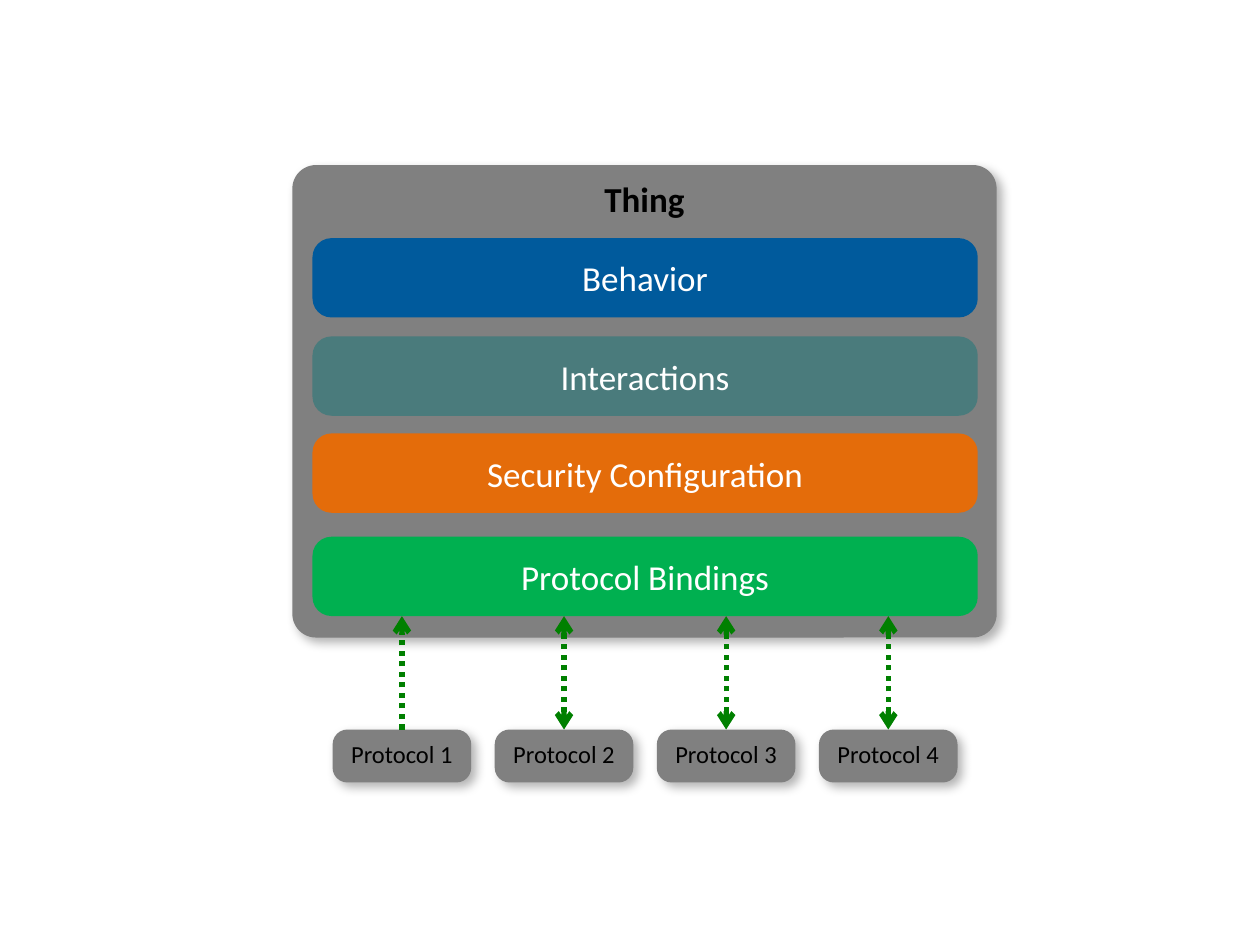
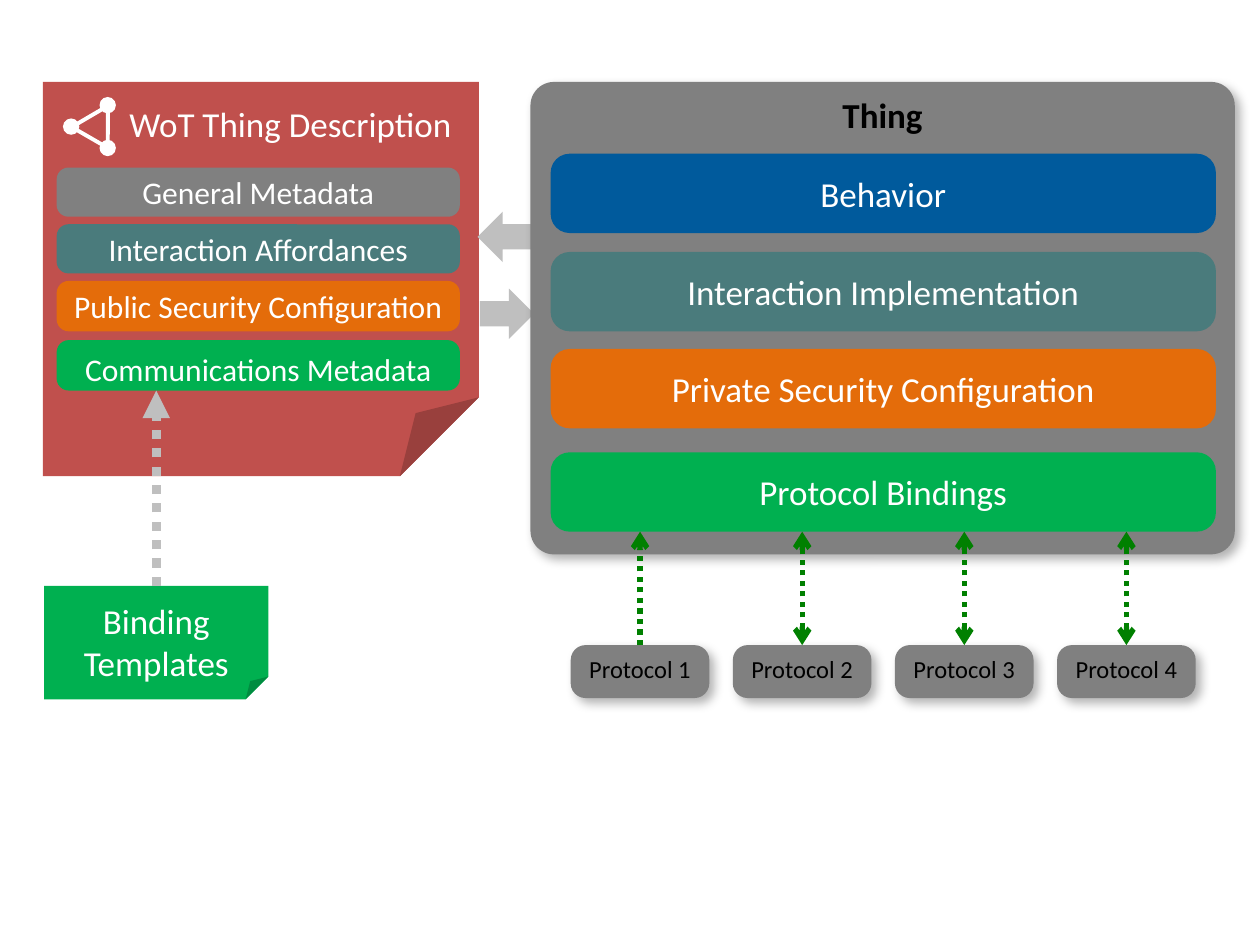
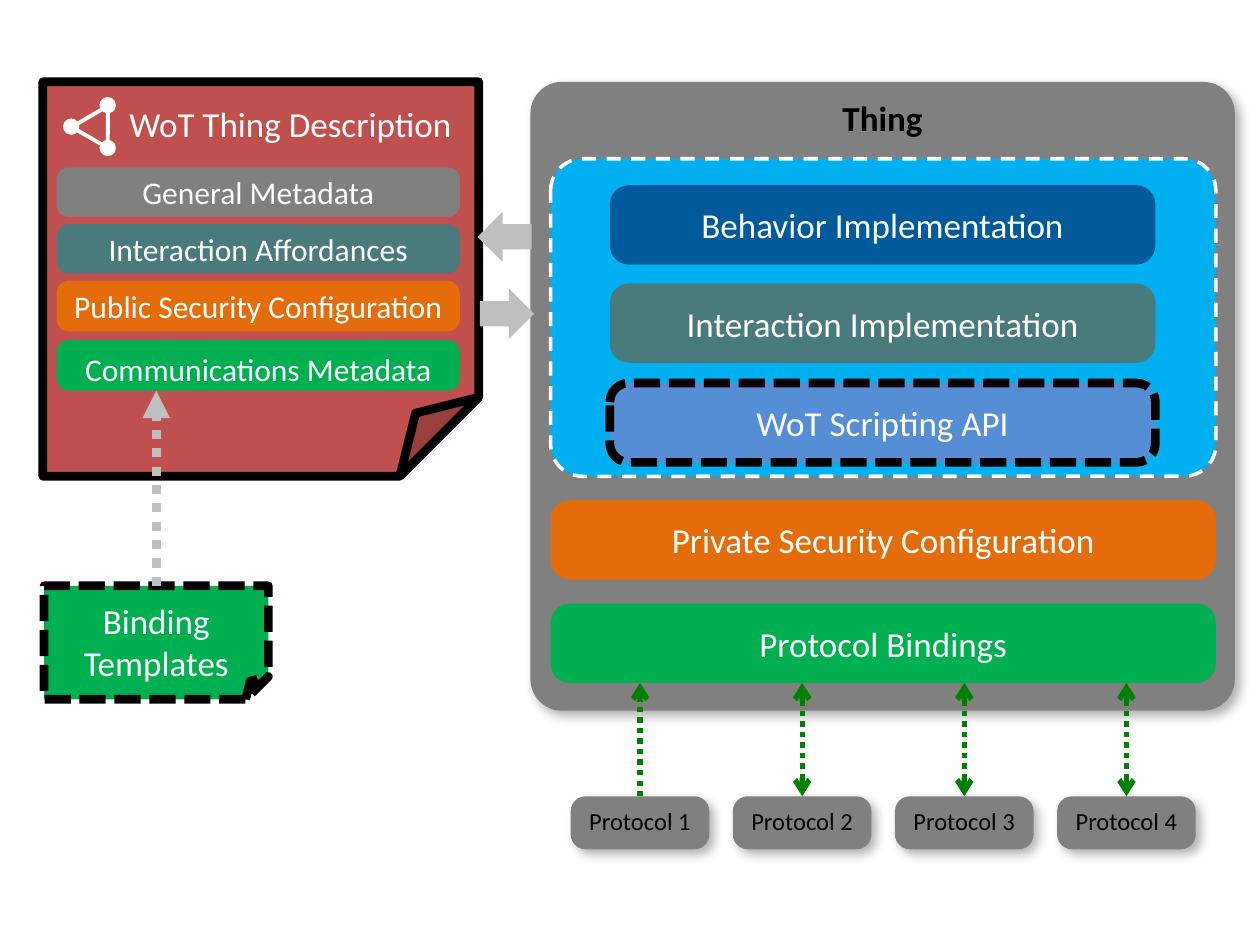
from lxml import etree
from pptx import Presentation
from pptx import util as u
from pptx.dml.color import RGBColor
from pptx.enum import dml, shapes, text
from pptx.oxml.ns import qn

COLORS = {
    "black": "000000",
    "white": "FFFFFF",
    "thing": "808080",
    "behavior": "005A9C",
    "interaction": "4A7B7C",
    "security": "E46C0A",
    "binding": "00B050",
    "protocol_link": "008000",
    "description": "C0504D",
    "exchange": "BFBFBF",
    "runtime": "00B0F0",
    "scripting": "558ED5",
}
FONT = "Calibri"
KIND = shapes.MSO_SHAPE
DASH = dml.MSO_LINE
RAISED_INSETS = (0.1, 0.04, 0.1, 0.08)
PAGE_OUTLINE = ("black", 5, None)
DASHED_OUTLINE = ("black", 5, DASH.SQUARE_DOT)
LAYER_WIDTH, LAYER_HEIGHT, LAYER_PITCH = 5.28, 0.63, 0.78
THING_WIDTH, THING_PADDING = 5.59, 0.16
THING_LEFT, PANEL_TOP = 4.21, 0.65


def rgb(color):
    return RGBColor.from_string(COLORS[color])


def style_line(line, color, width, dash=None):
    line.color.rgb = rgb(color)
    line.width = u.Pt(width)
    if dash:
        line.dash_style = dash


def add_block(parent, kind, box, fill=None, outline=None, corner=None):
    block = parent.add_shape(kind, *map(u.Inches, box))
    block.shadow.inherit = False
    if corner is not None:
        block.adjustments[0] = corner
    if fill:
        block.fill.solid()
        block.fill.fore_color.rgb = rgb(fill)
    else:
        block.fill.background()
    if outline:
        style_line(block.line, *outline)
    else:
        block.line.fill.background()
    return block


def write_label(block, label, size, color="white", bold=False,
                anchor=text.MSO_ANCHOR.MIDDLE, insets=(0.1, 0.05, 0.1, 0.05)):
    frame = block.text_frame
    frame.word_wrap = False
    frame.vertical_anchor = anchor
    (frame.margin_left, frame.margin_top,
     frame.margin_right, frame.margin_bottom) = map(u.Inches, insets)
    frame.text = label
    paragraph = frame.paragraphs[0]
    paragraph.alignment = text.PP_ALIGN.CENTER
    for run in paragraph.runs:
        run.font.name = FONT
        run.font.size = u.Pt(size)
        run.font.bold = bold
        run.font.color.rgb = rgb(color)


def cast_shadow(block):
    effects = block._element.spPr.find(qn("a:effectLst"))
    shadow = etree.SubElement(
        effects, qn("a:outerShdw"), blurRad=str(u.Pt(6)), dist=str(u.Pt(4)),
        dir="2700000", algn="tl", rotWithShape="0")
    tint = etree.SubElement(shadow, qn("a:srgbClr"), val=COLORS["black"])
    etree.SubElement(tint, qn("a:alpha"), val="30000")


def add_layer(parent, label, box, fill, size=20, outline=None,
              anchor=text.MSO_ANCHOR.MIDDLE):
    layer = add_block(parent, KIND.ROUNDED_RECTANGLE, box, fill, outline, 0.24)
    write_label(layer, label, size, anchor=anchor)


def add_raised_box(parent, label, box, corner, size, bold, anchor):
    raised = add_block(parent, KIND.ROUNDED_RECTANGLE, box, "thing", corner=corner)
    cast_shadow(raised)
    write_label(raised, label, size, "black", bold, anchor, RAISED_INSETS)


def add_arrow(parent, x, start, end, color, width, tip, both_ways=False):
    arrow = parent.add_connector(
        shapes.MSO_CONNECTOR.STRAIGHT, *map(u.Inches, (x, start, x, end)))
    style_line(arrow.line, color, width, DASH.ROUND_DOT)
    ends = ("headEnd", "tailEnd") if both_ways else ("tailEnd",)
    outline = arrow._element.spPr.find(qn("a:ln"))
    for end_name in ends:
        etree.SubElement(outline, qn(f"a:{end_name}"), type=tip)
    etree.SubElement(arrow._element.spPr, qn("a:effectLst"))


def add_protocols(parent, left, bindings_bottom):
    width, pitch, reach = 1.1, 3.86 / 3, 0.9
    top = bindings_bottom + reach
    for index in range(4):
        x = left + index * pitch
        add_raised_box(parent, f"Protocol {index + 1}", (x, top, width, 0.42),
                       0.28, 14, False, text.MSO_ANCHOR.MIDDLE)
        add_arrow(parent, x + width / 2, top, bindings_bottom,
                  "protocol_link", 3, "arrow", both_ways=index > 0)


def add_thing(parent, left, top, height, bindings_top, security):
    add_raised_box(parent, "Thing", (left, top, THING_WIDTH, height),
                   0.05, 20, True, text.MSO_ANCHOR.TOP)
    x = left + THING_PADDING
    add_layer(parent, security, (x, bindings_top - 0.82, LAYER_WIDTH, LAYER_HEIGHT),
              "security")
    add_layer(parent, "Protocol Bindings",
              (x, bindings_top, LAYER_WIDTH, LAYER_HEIGHT), "binding")
    add_protocols(parent, left + 0.32, bindings_top + LAYER_HEIGHT)


def add_inner_layers(parent, left, top, width, labels):
    for index, (label, fill) in enumerate(zip(labels, ("behavior", "interaction"))):
        add_layer(parent, label,
                  (left, top + index * LAYER_PITCH, width, LAYER_HEIGHT), fill)


def add_graph_icon(parent):
    icon = parent.add_group_shape().shapes
    edges = add_block(icon, KIND.ISOSCELES_TRIANGLE, (0.62, 0.82, 0.33, 0.29),
                      outline=("white", 2.25))
    edges.rotation = 30
    for x, y in ((0.79, 0.77), (0.5, 0.94), (0.79, 1.11)):
        add_block(icon, KIND.OVAL, (x, y, 0.13, 0.13), "white")


def set_fold(page, share):
    geometry = page._element.spPr.find(qn("a:prstGeom"))
    guides = geometry.find(qn("a:avLst"))
    if guides is None:
        guides = etree.SubElement(geometry, qn("a:avLst"))
    etree.SubElement(guides, qn("a:gd"), name="adj", fmla=f"val {round(share * 100000)}")


def add_page(parent, label, box, fill, outline, anchor, insets):
    page = add_block(parent, KIND.FOLDED_CORNER, box, fill, outline)
    set_fold(page, 0.2)
    write_label(page, label, 20, anchor=anchor, insets=insets)


def add_description(parent, page_outline=None, templates_outline=None):
    add_page(parent, "WoT Thing Description", (0.34, PANEL_TOP, 3.46, 3.13),
             "description", page_outline, text.MSO_ANCHOR.TOP, (0.47, 0.16, 0, 0))
    add_graph_icon(parent)
    sections = (
        ("General Metadata", 1.33, 0.39, "thing", text.MSO_ANCHOR.MIDDLE),
        ("Interaction Affordances", 1.78, 0.39, "interaction", text.MSO_ANCHOR.MIDDLE),
        ("Public Security Configuration", 2.23, 0.4, "security", text.MSO_ANCHOR.MIDDLE),
        ("Communications Metadata", 2.7, 0.4, "binding", text.MSO_ANCHOR.TOP),
    )
    for label, top, height, fill, anchor in sections:
        add_layer(parent, label, (0.45, top, 3.2, height), fill, 18, anchor=anchor)
    add_page(parent, "Binding\vTemplates", (0.35, 4.65, 1.78, 0.9), "binding",
             templates_outline, text.MSO_ANCHOR.MIDDLE, (0, 0.16, 0, 0))
    add_arrow(parent, 1.24, 4.65, 3.1, "exchange", 5.25, "triangle")
    add_block(parent, KIND.LEFT_ARROW, (3.79, 1.68, 0.43, 0.4), "exchange")
    add_block(parent, KIND.RIGHT_ARROW, (3.81, 2.29, 0.43, 0.4), "exchange")


def build_thing_slide(parent):
    left, top = 2.32, 1.31
    add_thing(parent, left, top, 3.75, 4.26, "Security Configuration")
    add_inner_layers(parent, left + THING_PADDING, top + 0.58, LAYER_WIDTH,
                     ("Behavior", "Interactions"))


def build_description_slide(parent):
    add_description(parent)
    add_thing(parent, THING_LEFT, PANEL_TOP, 3.75, 3.59,
              "Private Security Configuration")
    add_inner_layers(parent, THING_LEFT + THING_PADDING, PANEL_TOP + 0.57, LAYER_WIDTH,
                     ("Behavior", "Interaction Implementation"))


def build_scripting_slide(parent):
    add_thing(parent, THING_LEFT, PANEL_TOP, 4.99, 4.79,
              "Private Security Configuration")
    add_block(parent, KIND.ROUNDED_RECTANGLE,
              (THING_LEFT + THING_PADDING, 1.26, LAYER_WIDTH, 2.52),
              "runtime", ("white", 2, DASH.DASH), 0.1)
    add_description(parent, PAGE_OUTLINE, DASHED_OUTLINE)
    inner_left, inner_width = 4.84, 4.33
    add_inner_layers(parent, inner_left, 1.47, inner_width,
                     ("Behavior Implementation", "Interaction Implementation"))
    add_layer(parent, "WoT Scripting API",
              (inner_left, 3.04, inner_width, LAYER_HEIGHT), "scripting",
              outline=DASHED_OUTLINE)


def main():
    deck = Presentation()
    deck.slide_width, deck.slide_height = u.Inches(10), u.Inches(7.5)
    for build in (build_thing_slide, build_description_slide, build_scripting_slide):
        build(deck.slides.add_slide(deck.slide_layouts[6]).shapes)
    deck.save("out.pptx")


if __name__ == "__main__":
    main()
